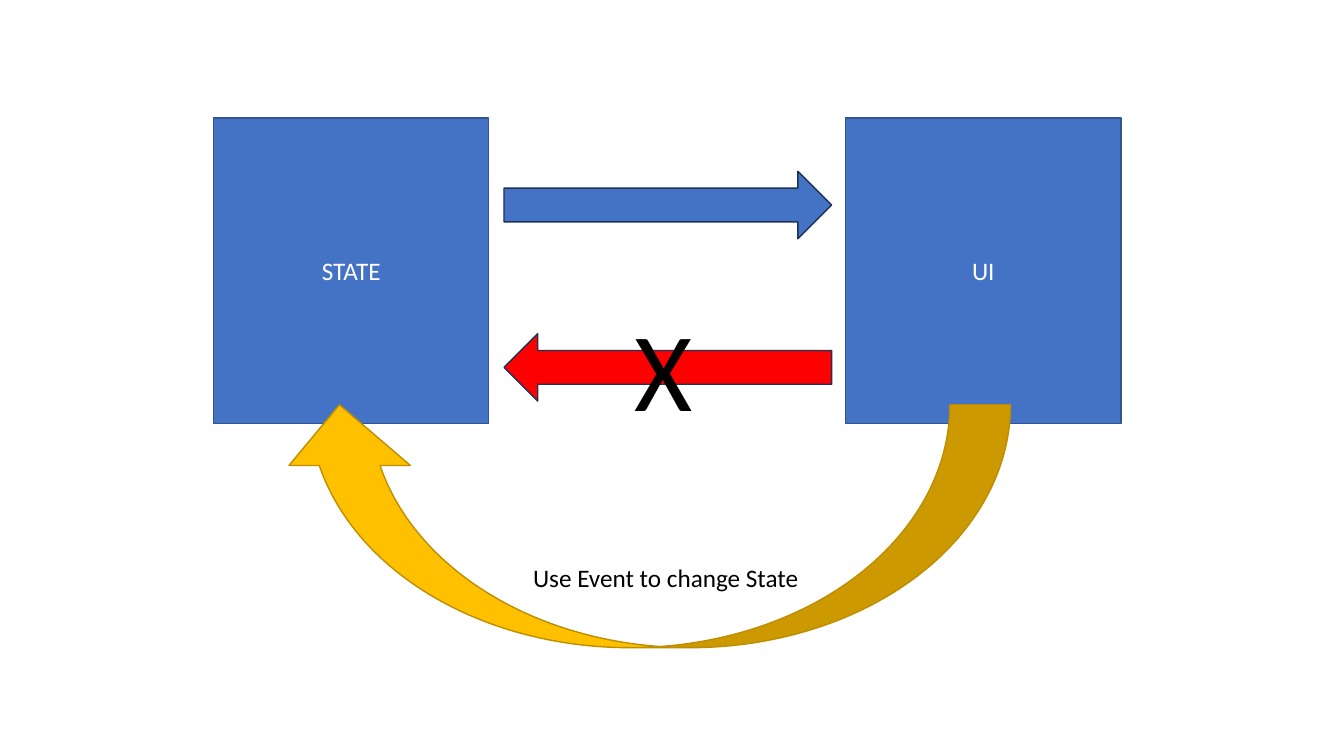
import dataclasses

import pptx
import pptx.dml.color
import pptx.enum.shapes
import pptx.enum.text
import pptx.presentation
import pptx.slide
import pptx.text.text
import pptx.util

Preset = pptx.enum.shapes.MSO_SHAPE
Align = pptx.enum.text.PP_ALIGN

FONT_NAME = "Calibri"
COLORS = {
    "blue": "4472C4",
    "blue_edge": "325491",
    "navy_edge": "1E3256",
    "red": "FF0000",
    "gold": "FFC000",
    "gold_edge": "BD8E00",
    "white": "FFFFFF",
    "black": "000000",
}


@dataclasses.dataclass(frozen=True)
class Frame:
    left: float
    top: float
    width: float
    height: float

    def lengths(self) -> list[pptx.util.Length]:
        return [pptx.util.Pt(value) for value in dataclasses.astuple(self)]


@dataclasses.dataclass(frozen=True)
class Block:
    preset: Preset
    frame: Frame
    fill: str
    edge: str
    text: str = ""
    rotation: float = 0


@dataclasses.dataclass(frozen=True)
class Label:
    text: str
    frame: Frame
    size: float
    wrap: bool


BLOCKS = [
    Block(Preset.RECTANGLE, Frame(152.6, 84.2, 196.6, 218.2), "blue", "blue_edge", "STATE"),
    Block(Preset.RECTANGLE, Frame(604.1, 84.2, 196.6, 218.2), "blue", "blue_edge", "UI"),
    Block(Preset.RIGHT_ARROW, Frame(360, 122.4, 234, 48.2), "blue", "navy_edge"),
    Block(Preset.RIGHT_ARROW, Frame(360, 238.3, 234, 48.2), "red", "navy_edge", rotation=180),
]
CROSS = Label("X", Frame(446.4, 210.2, 60.5, 104.4), 80, True)
EVENT_ARROW = Block(
    Preset.CURVED_LEFT_ARROW, Frame(373.7, 114.5, 173.5, 522.7), "gold", "gold_edge", rotation=90
)
EVENT_LABEL = Label("Use Event to change State", Frame(373.7, 398.2, 205.9, 28.8), 18, False)


def color(name: str) -> pptx.dml.color.RGBColor:
    return pptx.dml.color.RGBColor.from_string(COLORS[name])


def write_text(
    text_frame: pptx.text.text.TextFrame, text: str, size: float, color_name: str, align: Align
) -> None:
    text_frame.text = text
    paragraph = text_frame.paragraphs[0]
    paragraph.alignment = align
    for run in paragraph.runs:
        run.font.name = FONT_NAME
        run.font.size = pptx.util.Pt(size)
        run.font.color.rgb = color(color_name)


def draw_block(slide: pptx.slide.Slide, block: Block) -> None:
    shape = slide.shapes.add_shape(block.preset, *block.frame.lengths())
    shape.shadow.inherit = False
    shape.rotation = block.rotation
    shape.fill.solid()
    shape.fill.fore_color.rgb = color(block.fill)
    shape.line.color.rgb = color(block.edge)
    shape.line.width = pptx.util.Pt(1)
    if block.text:
        shape.text_frame.vertical_anchor = pptx.enum.text.MSO_ANCHOR.MIDDLE
        write_text(shape.text_frame, block.text, 18, "white", Align.CENTER)


def draw_label(slide: pptx.slide.Slide, label: Label) -> None:
    text_frame = slide.shapes.add_textbox(*label.frame.lengths()).text_frame
    text_frame.word_wrap = label.wrap
    text_frame.auto_size = pptx.enum.text.MSO_AUTO_SIZE.SHAPE_TO_FIT_TEXT
    write_text(text_frame, label.text, label.size, "black", Align.LEFT)


def main() -> None:
    presentation = pptx.Presentation()
    presentation.slide_width = pptx.util.Pt(960)
    presentation.slide_height = pptx.util.Pt(540)
    slide = presentation.slides.add_slide(presentation.slide_layouts[6])
    for block in BLOCKS:
        draw_block(slide, block)
    draw_label(slide, CROSS)
    draw_block(slide, EVENT_ARROW)
    draw_label(slide, EVENT_LABEL)
    presentation.save("out.pptx")


if __name__ == "__main__":
    main()
